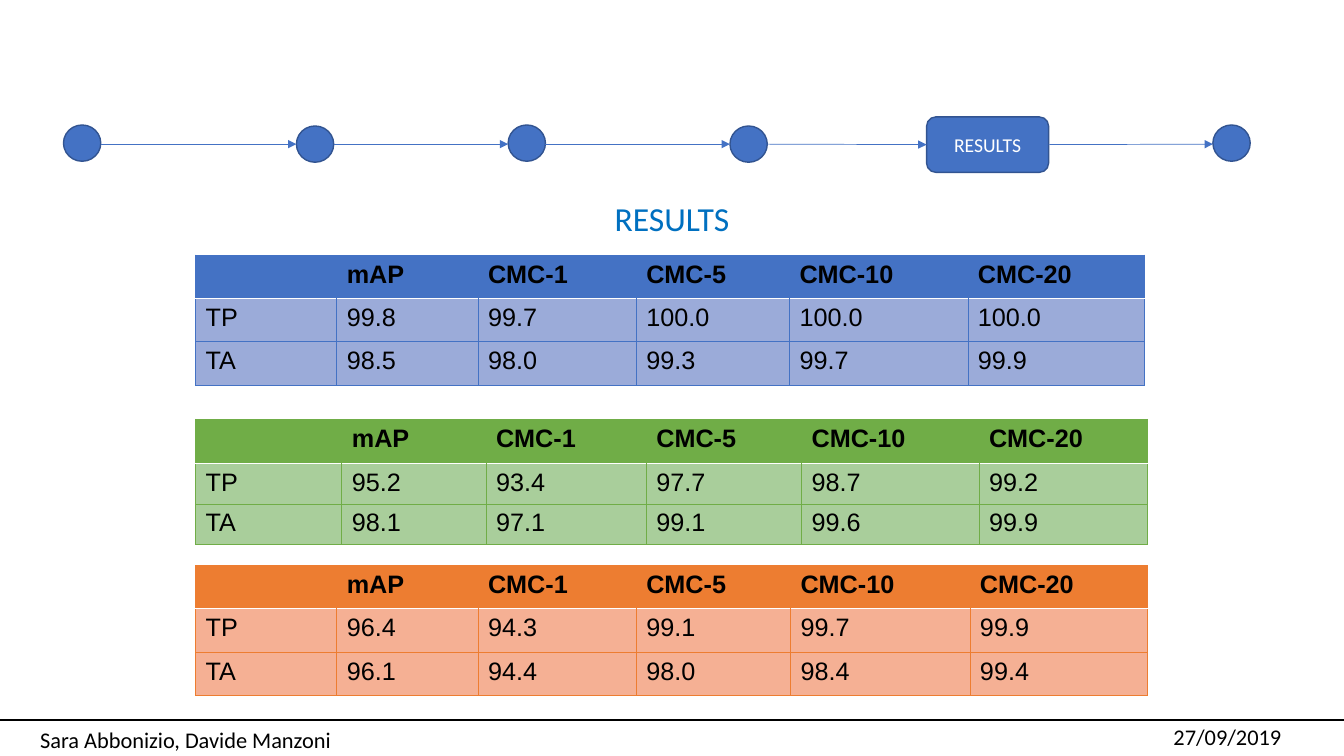
from dataclasses import dataclass
from itertools import pairwise

from lxml.etree import SubElement
from pptx import Presentation
from pptx.dml.color import RGBColor
from pptx.enum.shapes import MSO_CONNECTOR as Connector, MSO_SHAPE as Shape
from pptx.enum.text import MSO_ANCHOR as Anchor, MSO_AUTO_SIZE as AutoSize, PP_ALIGN as Align
from pptx.oxml import parse_xml
from pptx.oxml.ns import nsdecls, qn
from pptx.util import Inches, Pt

COLOURS = {
    "black": "000000", "white": "FFFFFF", "title": "0070C0", "outline": "325491",
    "blue": "4472C4", "blue_light": "9BABD9",
    "green": "70AD47", "green_light": "A9CE9B",
    "orange": "ED7D31", "orange_light": "F5B094",
}
NO_STYLE_TABLE = "{2D5ABB26-0587-4C30-8999-92F81FD0307C}"
HEADER = ["", "mAP", "CMC-1", "CMC-5", "CMC-10", "CMC-20"]
FLOW_Y = 1.43
CELL_FORMAT = {"margin_left": Inches(0.1), "margin_right": Inches(0.1),
               "margin_top": Inches(0.07), "margin_bottom": Inches(0.05)}


@dataclass
class Step:
    left: float
    top: float
    width: float = 0.37
    height: float = 0.36
    label: str = ""


@dataclass
class ResultTable:
    colour: str
    top: float
    columns: list[float]
    row_heights: list[float]
    rows: list[list[str]]


@dataclass
class Label:
    text: str
    left: float
    top: float
    width: float


STEPS = [
    Step(0.63, 1.24), Step(2.94, 1.25), Step(5.04, 1.24), Step(7.24, 1.25),
    Step(9.19, 1.16, 1.21, 0.55, "RESULTS"), Step(12.03, 1.24),
]
TABLES = [
    ResultTable("blue", 2.53, [1.4, 1.4, 1.57, 1.52, 1.77, 1.75], [0.43] * 3, [
        ["TP", "99.8", "99.7", "100.0", "100.0", "100.0"],
        ["TA", "98.5", "98.0", "99.3", "99.7", "99.9"]]),
    ResultTable("green", 4.16, [1.45, 1.43, 1.59, 1.54, 1.76, 1.67], [0.44, 0.4, 0.4], [
        ["TP", "95.2", "93.4", "97.7", "98.7", "99.2"],
        ["TA", "98.1", "97.1", "99.1", "99.6", "99.9"]]),
    ResultTable("orange", 5.61, [1.4, 1.4, 1.57, 1.53, 1.78, 1.76], [0.43] * 3, [
        ["TP", "96.4", "94.3", "99.1", "99.7", "99.9"],
        ["TA", "96.1", "94.4", "98.0", "98.4", "99.4"]]),
]
LABELS = [Label("27/09/2019", 11.54, 7.13, 1.79),
          Label("Sara Abbonizio, Davide Manzoni", 0.3, 7.15, 3.27)]


def rgb(name: str) -> RGBColor:
    return RGBColor.from_string(COLOURS[name])


def apply_format(target, values: dict) -> None:
    for name, value in values.items():
        setattr(target, name, value)


def write_text(frame, text: str, colour: str, size: int, font="Calibri", bold=False,
               **paragraph_format) -> None:
    paragraph = frame.paragraphs[0]
    apply_format(paragraph, paragraph_format)
    run = paragraph.add_run()
    run.text = text
    apply_format(run.font, {"name": font, "size": Pt(size), "bold": bold})
    run.font.color.rgb = rgb(colour)


def add_line(slide, start: tuple, end: tuple, colour: str, width: float):
    line = slide.shapes.add_connector(Connector.STRAIGHT, *map(Inches, start + end))
    line.line.color.rgb = rgb(colour)
    line.line.width = Pt(width)
    SubElement(line._element.spPr, qn("a:effectLst"))
    return line


def add_step(slide, step: Step):
    kind = Shape.FLOWCHART_ALTERNATE_PROCESS if step.label else Shape.FLOWCHART_CONNECTOR
    shape = slide.shapes.add_shape(
        kind, *map(Inches, (step.left, step.top, step.width, step.height)))
    shape.shadow.inherit = False
    shape.fill.solid()
    shape.fill.fore_color.rgb = rgb("blue")
    shape.line.color.rgb = rgb("outline")
    shape.line.width = Pt(1)
    if step.label:
        shape.text_frame.vertical_anchor = Anchor.MIDDLE
        write_text(shape.text_frame, step.label, "white", 14, alignment=Align.CENTER)
    return shape


def add_flow(slide) -> None:
    shapes = [add_step(slide, step) for step in STEPS]
    for (step, shape), (following, target) in pairwise(zip(STEPS, shapes)):
        arrow = add_line(slide, (step.left + step.width, FLOW_Y),
                         (following.left, FLOW_Y), "blue", 0.5)
        SubElement(arrow.line._get_or_add_ln(), qn("a:tailEnd"), type="triangle")
        if step.label:
            arrow.begin_connect(shape, 3)
        if following.label:
            arrow.end_connect(target, 1)


def set_borders(cell, borders: dict[str, tuple[str, float]]) -> None:
    """Draw the given sides (L, R, T, B), which must precede the fill in the cell's XML."""
    properties = cell._tc.get_or_add_tcPr()
    sides = [side for side in "LRTB" if side in borders]
    for index, side in enumerate(sides):
        colour, width = borders[side]
        properties.insert(index, parse_xml(
            f'<a:ln{side} {nsdecls("a")} w="{Pt(width)}"><a:solidFill>'
            f'<a:srgbClr val="{COLOURS[colour]}"/></a:solidFill></a:ln{side}>'))


def cell_borders(colour: str, row: int, column: int) -> dict[str, tuple[str, float]]:
    """The header has no inner verticals and a white line beneath it."""
    edge, divider = (colour, 0.5), ("white", 1)
    if row:
        return {"L": edge, "R": edge, "T": divider if row == 1 else edge, "B": edge}
    borders = {"T": edge, "B": divider}
    if column == 0:
        borders["L"] = edge
    if column == len(HEADER) - 1:
        borders["R"] = edge
    return borders


def add_result_table(slide, result: ResultTable) -> None:
    values = [HEADER] + result.rows
    size = (1.94, result.top, sum(result.columns), sum(result.row_heights))
    table = slide.shapes.add_table(len(values), len(HEADER), *map(Inches, size)).table
    table._tbl.tblPr.find(qn("a:tableStyleId")).text = NO_STYLE_TABLE
    for column, width in zip(table.columns, result.columns):
        column.width = Inches(width)
    for row, height in zip(table.rows, result.row_heights):
        row.height = Inches(height)
    for row, texts in enumerate(values):
        for column, text in enumerate(texts):
            cell = table.cell(row, column)
            apply_format(cell, CELL_FORMAT)
            cell.fill.solid()
            cell.fill.fore_color.rgb = rgb(result.colour + ("_light" if row else ""))
            set_borders(cell, cell_borders(result.colour, row, column))
            if text:
                write_text(cell.text_frame, text, "black", 18, "Arial", row == 0,
                           line_spacing=0.93)


def add_title(slide) -> None:
    title = slide.shapes.title
    apply_format(title, {"left": Inches(0.47), "top": Inches(1.91),
                         "width": Inches(12.39), "height": Inches(0.5)})
    apply_format(title.text_frame, {"vertical_anchor": Anchor.TOP, "word_wrap": True,
                                    "auto_size": AutoSize.NONE})
    write_text(title.text_frame, "RESULTS", "title", 24, alignment=Align.CENTER)


def add_label(slide, label: Label) -> None:
    box = slide.shapes.add_textbox(
        *map(Inches, (label.left, label.top, label.width, 0.37)))
    box.text_frame.word_wrap = True
    write_text(box.text_frame, label.text, "black", 16)


def main() -> None:
    presentation = Presentation()
    presentation.slide_width, presentation.slide_height = Inches(13.33), Inches(7.5)
    slide = presentation.slides.add_slide(presentation.slide_layouts[5])
    add_line(slide, (13.33, 7.14), (0, 7.14), "black", 1.5)
    for label in LABELS:
        add_label(slide, label)
    add_flow(slide)
    add_title(slide)
    for result in TABLES:
        add_result_table(slide, result)
    presentation.save("out.pptx")


if __name__ == "__main__":
    main()
